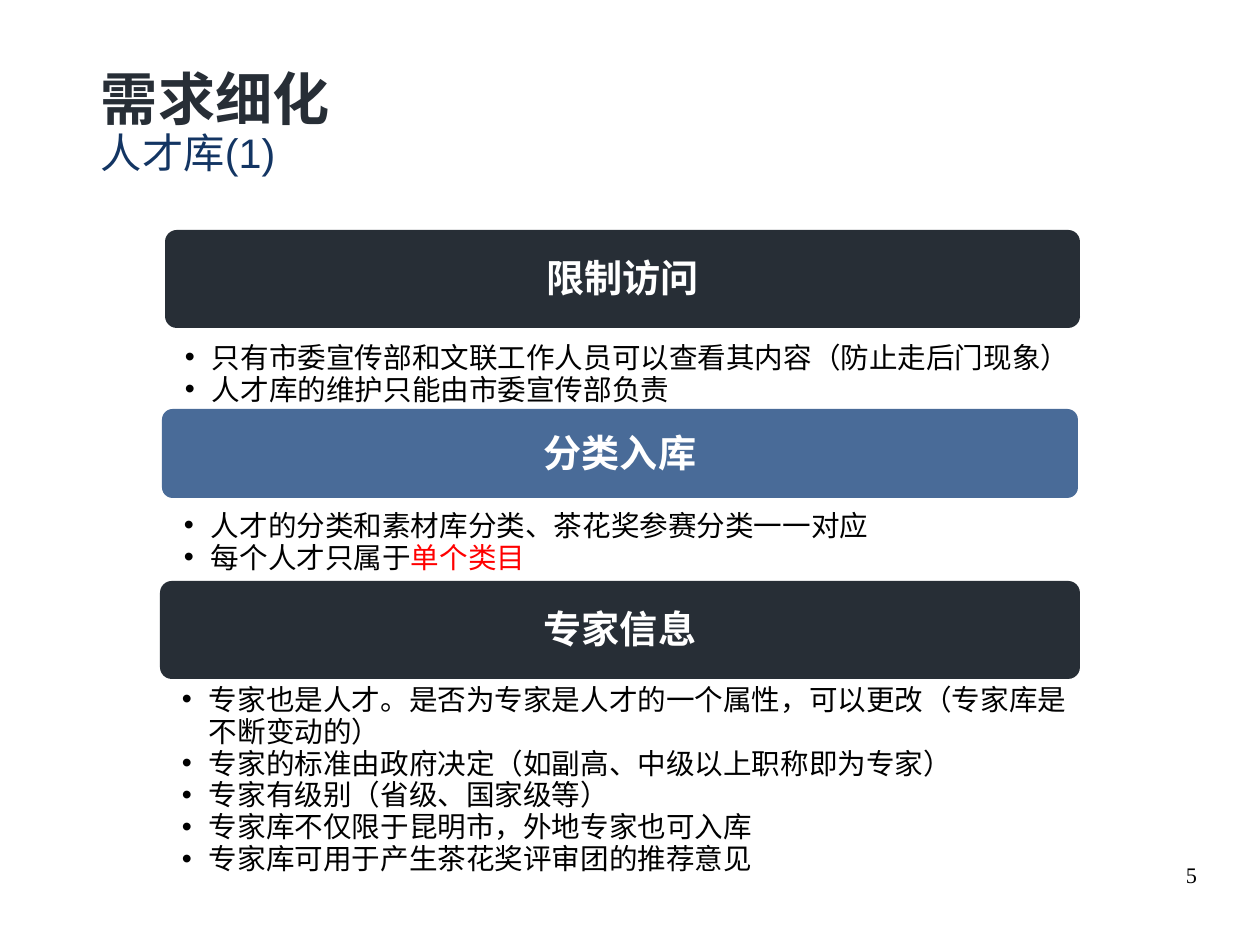
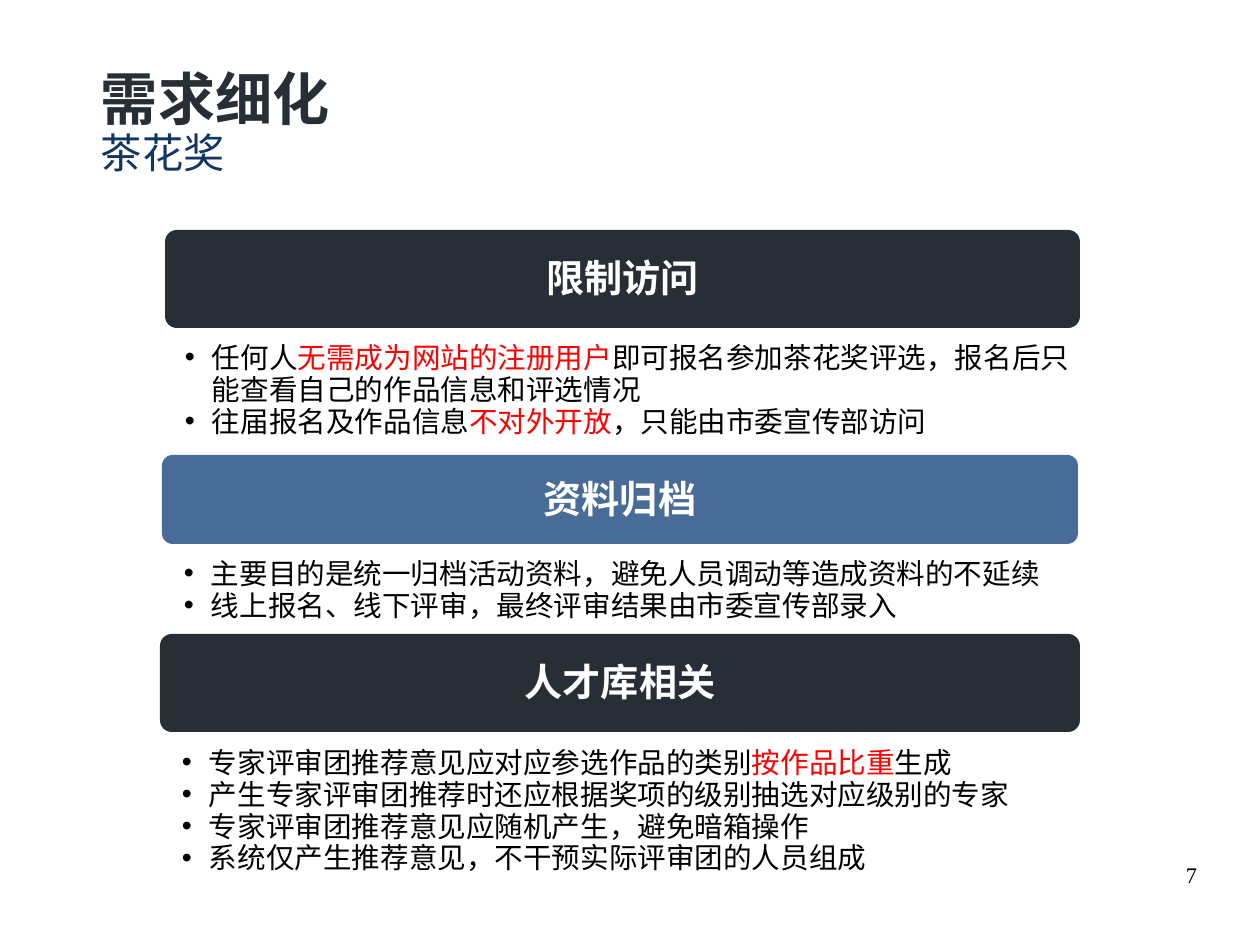
from dataclasses import dataclass

from lxml import etree
from pptx import Presentation
from pptx.dml.color import RGBColor
from pptx.enum.shapes import MSO_SHAPE
from pptx.enum.text import MSO_ANCHOR, MSO_AUTO_SIZE, PP_ALIGN
from pptx.oxml.ns import qn
from pptx.util import Pt

PX = 8000  # EMU in one px; the 28 by 21 cm page is 1260 by 945 px
PAGE_WIDTH, PAGE_HEIGHT = 1260, 945
ROUNDED = MSO_SHAPE.ROUNDED_RECTANGLE
TOP, MIDDLE = MSO_ANCHOR.TOP, MSO_ANCHOR.MIDDLE
LEFT, CENTER, RIGHT = PP_ALIGN.LEFT, PP_ALIGN.CENTER, PP_ALIGN.RIGHT
NO_AUTOFIT = MSO_AUTO_SIZE.NONE
COMPARISON_LAYOUT = 4

COLORS = {
    "dark": "272E36",
    "blue": "496B98",
    "navy": "133563",
    "white": "FFFFFF",
    "black": "000000",
    "red": "FF0000",
}


@dataclass(frozen=True)
class Style:
    size: int
    color: str
    spacing: float  # a float is a share of the line, a Pt length is exact
    font: str = "Arial"
    bold: bool = False
    align: PP_ALIGN = LEFT


@dataclass(frozen=True)
class Area:
    left: int
    top: int
    width: int
    height: int


@dataclass(frozen=True)
class Band:
    """Place and fill shared by the band of the same rank on each page."""
    left: int
    width: int
    height: int
    list_left: int
    fill: str


@dataclass(frozen=True)
class Section:
    """A heading and its list; text between | marks is emphasised."""
    heading: str
    top: int
    list_top: int
    list_height: int
    items: tuple[str, ...]


@dataclass(frozen=True)
class Page:
    subtitle: str
    number: str
    sections: tuple[Section, ...]


TITLE = "需求细化"
TITLE_AREA = Area(90, 45, 1094, 138)
NUMBER_AREA = Area(903, 863, 294, 65)
LIST_WIDTH = 908
LIST_INDENT = 27
TEXT_INSETS = (11, 6, 11, 6)
BAND_INSETS = (11, 8, 11, 6)

TITLE_STYLE = Style(36, "dark", Pt(51), "Montserrat", True)
SUBTITLE_STYLE = Style(26, "navy", Pt(28.4))
BAND_STYLE = Style(24, "white", 0.93, bold=True, align=CENTER)
LIST_STYLE = Style(18, "black", Pt(20.1))
NUMBER_STYLE = Style(14, "black", 0.95, "Times New Roman", align=RIGHT)

BANDS = (
    Band(165, 915, 98, 174, "dark"),
    Band(162, 916, 89, 173, "blue"),
    Band(160, 920, 98, 171, "dark"),
)

PAGES = (
    Page("人才库(1)", "5", (
        Section("限制访问", 230, 336, 75, (
            "只有市委宣传部和文联工作人员可以查看其内容（防止走后门现象）",
            "人才库的维护只能由市委宣传部负责",
        )),
        Section("分类入库", 409, 504, 75, (
            "人才的分类和素材库分类、茶花奖参赛分类一一对应",
            "每个人才只属于|单个类目|",
        )),
        Section("专家信息", 581, 678, 202, (
            "专家也是人才。是否为专家是人才的一个属性，可以更改（专家库是不断变动的）",
            "专家的标准由政府决定（如副高、中级以上职称即为专家）",
            "专家有级别（省级、国家级等）",
            "专家库不仅限于昆明市，外地专家也可入库",
            "专家库可用于产生茶花奖评审团的推荐意见",
        )),
    )),
    Page("茶花奖", "7", (
        Section("限制访问", 230, 336, 107, (
            "任何人|无需成为网站的注册用户|即可报名参加茶花奖评选，报名后只能查看自己的作品信息和评选情况",
            "往届报名及作品信息|不对外开放|，只能由市委宣传部访问",
        )),
        Section("资料归档", 455, 552, 75, (
            "主要目的是统一归档活动资料，避免人员调动等造成资料的不延续",
            "线上报名、线下评审，最终评审结果由市委宣传部录入",
        )),
        Section("人才库相关", 634, 741, 139, (
            "专家评审团推荐意见应对应参选作品的类别|按作品比重|生成",
            "产生专家评审团推荐时还应根据奖项的级别抽选对应级别的专家",
            "专家评审团推荐意见应随机产生，避免暗箱操作",
            "系统仅产生推荐意见，不干预实际评审团的人员组成",
        )),
    )),
)


def rgb(name: str) -> RGBColor:
    return RGBColor.from_string(COLORS[name])


def emu(area: Area) -> tuple[int, ...]:
    return tuple(n * PX for n in (area.left, area.top, area.width, area.height))


def set_values(target, values: dict) -> None:
    for name, value in values.items():
        setattr(target, name, value)


def place(shape, area: Area) -> None:
    set_values(shape, dict(zip(("left", "top", "width", "height"), emu(area))))


def format_frame(frame, insets: tuple[int, ...], anchor: MSO_ANCHOR = TOP) -> None:
    left, top, right, bottom = (n * PX for n in insets)
    set_values(frame, {
        "margin_left": left, "margin_top": top,
        "margin_right": right, "margin_bottom": bottom,
        "word_wrap": True, "auto_size": NO_AUTOFIT, "vertical_anchor": anchor,
    })


def add_bullet(para) -> None:
    properties = para._p.get_or_add_pPr()
    properties.set("marL", str(LIST_INDENT * PX))
    properties.set("indent", str(-LIST_INDENT * PX))
    color = etree.SubElement(properties, qn("a:buClr"))
    etree.SubElement(color, qn("a:srgbClr"), val=COLORS["black"])
    etree.SubElement(properties, qn("a:buFont"), typeface="Arial")
    etree.SubElement(properties, qn("a:buChar"), char="•")


def write_lines(frame, lines: list[tuple[str, Style]], bullets: bool = False) -> None:
    for index, (text, style) in enumerate(lines):
        para = frame.add_paragraph() if index else frame.paragraphs[0]
        if bullets:
            add_bullet(para)
        set_values(para, {
            "alignment": style.align, "line_spacing": style.spacing,
            "space_before": Pt(0), "space_after": Pt(0),
        })
        for part, words in enumerate(text.split("|")):
            if not words:
                continue
            span = para.add_run()
            span.text = words
            set_values(span.font, {
                "name": style.font, "size": Pt(style.size), "bold": style.bold,
            })
            span.font.color.rgb = rgb("red" if part % 2 else style.color)
            etree.SubElement(span._r.get_or_add_rPr(), qn("a:ea"), typeface="Arial")


def add_band(slide, band: Band, section: Section) -> None:
    area = Area(band.left, section.top, band.width, band.height)
    box = slide.shapes.add_shape(ROUNDED, *emu(area))
    box.adjustments[0] = 0.12
    box.shadow.inherit = False
    box.fill.solid()
    box.fill.fore_color.rgb = rgb(band.fill)
    box.line.fill.background()
    format_frame(box.text_frame, BAND_INSETS, MIDDLE)
    write_lines(box.text_frame, [(section.heading, BAND_STYLE)])


def fill_list(box, band: Band, section: Section) -> None:
    place(box, Area(band.list_left, section.list_top, LIST_WIDTH, section.list_height))
    format_frame(box.text_frame, TEXT_INSETS)
    write_lines(box.text_frame, [(item, LIST_STYLE) for item in section.items], True)


def add_page(deck, page: Page) -> None:
    slide = deck.slides.add_slide(deck.slide_layouts[COMPARISON_LAYOUT])
    title, *bodies = slide.placeholders
    place(title, TITLE_AREA)
    format_frame(title.text_frame, TEXT_INSETS)
    write_lines(title.text_frame, [(TITLE, TITLE_STYLE), (page.subtitle, SUBTITLE_STYLE)])

    for body, band, section in zip(bodies, BANDS, page.sections):
        add_band(slide, band, section)
        fill_list(body, band, section)
    for unused in bodies[len(BANDS):]:
        unused.element.getparent().remove(unused.element)

    number = slide.shapes.add_textbox(*emu(NUMBER_AREA))
    format_frame(number.text_frame, (0, 0, 0, 0))
    write_lines(number.text_frame, [(page.number, NUMBER_STYLE)])


def main() -> None:
    deck = Presentation()
    set_values(deck, {"slide_width": PAGE_WIDTH * PX, "slide_height": PAGE_HEIGHT * PX})
    for page in PAGES:
        add_page(deck, page)
    deck.save("out.pptx")


if __name__ == "__main__":
    main()
